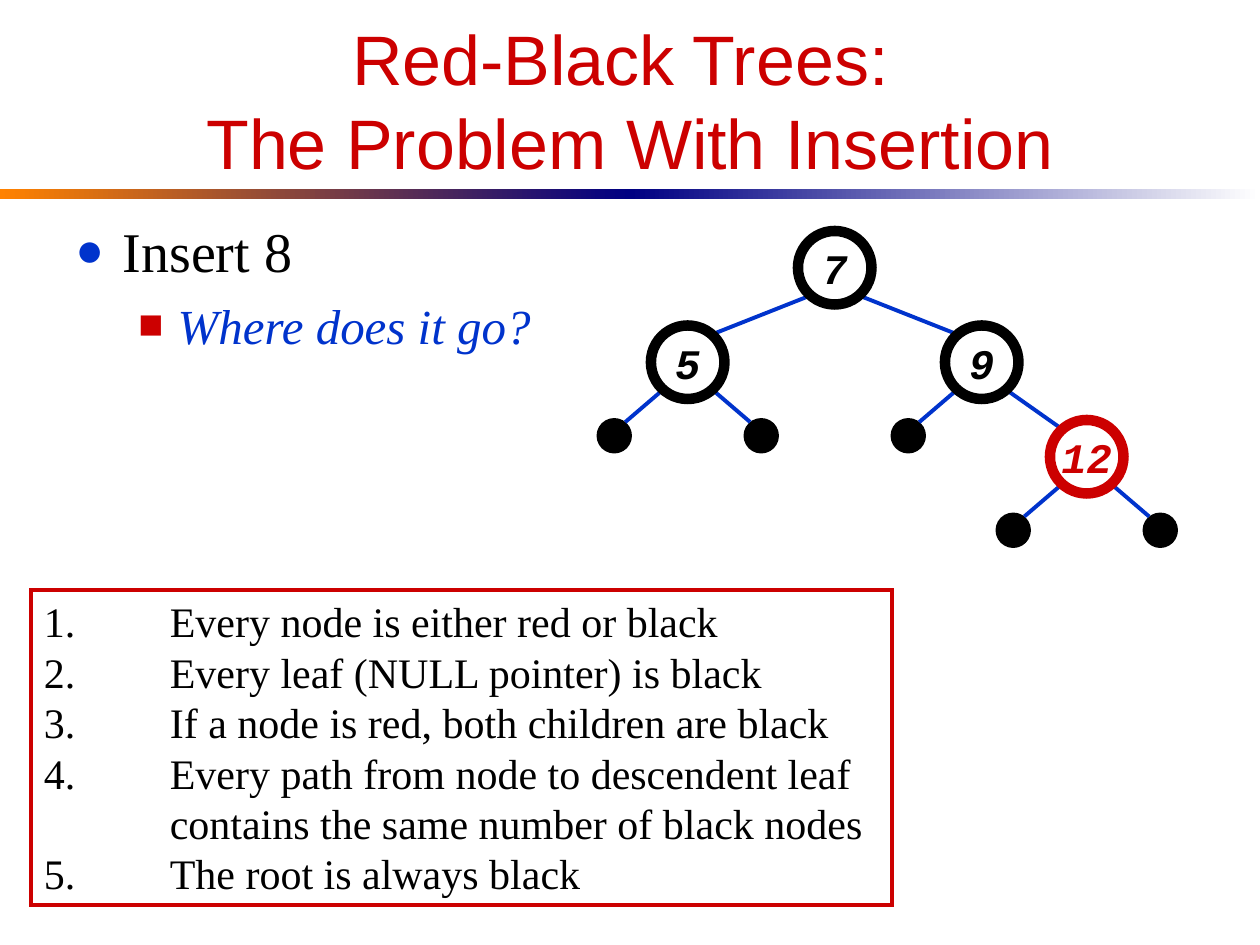
from lxml import etree
from pptx import Presentation
from pptx.dml.color import RGBColor
from pptx.enum.shapes import MSO_CONNECTOR, MSO_SHAPE
from pptx.enum.text import MSO_ANCHOR, MSO_AUTO_SIZE, PP_ALIGN
from pptx.oxml.ns import qn
from pptx.util import Inches, Pt

RECTANGLE, OVAL = MSO_SHAPE.RECTANGLE, MSO_SHAPE.OVAL
STRAIGHT = MSO_CONNECTOR.STRAIGHT
TOP, MIDDLE = MSO_ANCHOR.TOP, MSO_ANCHOR.MIDDLE
LEFT, CENTER = PP_ALIGN.LEFT, PP_ALIGN.CENTER
GROW = MSO_AUTO_SIZE.SHAPE_TO_FIT_TEXT

BLACK, WHITE, RED, BLUE = "000000", "FFFFFF", "CC0000", "0033CC"
NAVY, ORANGE = "000082", "FF8200"
SERIF, SANS, MONO = "Times New Roman", "Arial", "Courier New"

UNIT = 1 / 24
NODE_RADIUS, LEAF_RADIUS = 7, 3
NODES = {
    "7": (159, 51, BLACK),
    "5": (131, 69, BLACK),
    "9": (187, 69, BLACK),
    "12": (207, 87, RED),
}
BRANCHES = [("7", "5"), ("7", "9"), ("9", "12")]
LEAVES = [("5", -1), ("5", 1), ("9", -1), ("12", -1), ("12", 1)]
LEAF_STEP = 14

RULES = [
    "1.\tEvery node is either red or black",
    "2.\tEvery leaf (NULL pointer) is black",
    "3.\tIf a node is red, both children are black",
    "4. \tEvery path from node to descendent leaf\v\tcontains the same number of black nodes",
    "5. \tThe root is always black",
]


def color(value):
    """Turn a hex string into a colour."""
    return RGBColor.from_string(value)


def style_paragraph(para, text, font, size, ink, align=LEFT, bold=False, italic=False):
    """Write a paragraph and format its runs."""
    para.text = text
    para.alignment = align
    for span in para.runs:
        span.font.name, span.font.size = font, Pt(size)
        span.font.bold, span.font.italic = bold, italic
        span.font.color.rgb = color(ink)


def add_bullet(para, symbol, ink, margin, hanging, before):
    """Give a paragraph a coloured bullet with a hanging indent."""
    para.space_before = Pt(before)
    properties = para._p.get_or_add_pPr()
    properties.set("marL", str(Inches(margin)))
    properties.set("indent", str(-Inches(hanging)))
    bullet_color = etree.SubElement(properties, qn("a:buClr"))
    etree.SubElement(bullet_color, qn("a:srgbClr"), val=ink)
    etree.SubElement(properties, qn("a:buSzPct"), val="85000")
    etree.SubElement(properties, qn("a:buFont"), typeface=SERIF)
    etree.SubElement(properties, qn("a:buChar"), char=symbol)


def add_tab_stops(para, count):
    """Give a paragraph left tab stops one inch apart, from zero."""
    stops = etree.SubElement(para._p.get_or_add_pPr(), qn("a:tabLst"))
    for position in range(count):
        etree.SubElement(stops, qn("a:tab"), pos=str(Inches(position)), algn="l")


def add_text_box(page, left, top, width, height, anchor=TOP):
    """Add a wrapping text box and return its text frame."""
    box = page.shapes.add_textbox(*map(Inches, (left, top, width, height)))
    box.text_frame.word_wrap = True
    box.text_frame.vertical_anchor = anchor
    return box.text_frame


def add_outlined(page, kind, left, top, width, height, fill, line, weight):
    """Add a flat preset shape with a sharp outline and an optional fill."""
    shape = page.shapes.add_shape(kind, *map(Inches, (left, top, width, height)))
    shape.shadow.inherit = False
    if fill:
        shape.fill.solid()
        shape.fill.fore_color.rgb = color(fill)
    else:
        shape.fill.background()
    shape.line.color.rgb = color(line)
    shape.line.width = Pt(weight)
    outline = shape._element.spPr.find(qn("a:ln"))
    etree.SubElement(outline, qn("a:miter"), lim="800000")
    return shape


def add_band(page, left, start, end):
    """Add half of the gradient band under the title."""
    band = page.shapes.add_shape(RECTANGLE, *map(Inches, (left, 1.5, 5, 0.08)))
    band.shadow.inherit = False
    band.line.fill.background()
    band.fill.gradient()
    band.fill.gradient_angle = 0
    for stop, ink in zip(band.fill.gradient_stops, (start, end)):
        stop.color.rgb = color(ink)


def add_circle(page, x, y, radius, fill, line, weight):
    """Add a circle centred on a point of the tree grid."""
    corner = ((x - radius) * UNIT, (y - radius) * UNIT)
    size = 2 * radius * UNIT
    return add_outlined(page, OVAL, *corner, size, size, fill, line, weight)


def add_node(page, key):
    """Add a tree node with its key."""
    x, y, ink = NODES[key]
    frame = add_circle(page, x, y, NODE_RADIUS, WHITE, ink, 6).text_frame
    frame.word_wrap = False
    frame.vertical_anchor = MIDDLE
    style_paragraph(frame.paragraphs[0], key, MONO, 24, ink, CENTER, True, True)


def add_edge(page, parent, child, child_radius):
    """Join the lower side of a parent to the upper side of its child."""
    side = 1 if child[0] > parent[0] else -1
    start_x, end_x = parent[0] + side * 0.7 * NODE_RADIUS, child[0] - side * 0.7 * child_radius
    start_y = parent[1] + 0.7 * NODE_RADIUS + 0.5
    end_y = child[1] - 0.7 * child_radius - 0.5
    ends = [Inches(value * UNIT) for value in (start_x, start_y, end_x, end_y)]
    edge = page.shapes.add_connector(STRAIGHT, *ends)
    edge.line.color.rgb = color(BLUE)
    edge.line.width = Pt(2.25)
    etree.SubElement(edge._element.spPr, qn("a:effectLst"))


def add_tree(page):
    """Draw leaves, then edges, then nodes."""
    leaves = [(key, (NODES[key][0] + side * LEAF_STEP, NODES[key][1] + LEAF_STEP))
              for key, side in LEAVES]
    for _, center in leaves:
        add_circle(page, *center, LEAF_RADIUS, BLACK, BLACK, 2.25)
    for key, center in leaves:
        add_edge(page, NODES[key], center, LEAF_RADIUS)
    for parent, child in BRANCHES:
        add_edge(page, NODES[parent], NODES[child], NODE_RADIUS)
    for key in NODES:
        add_node(page, key)


def add_rules(page):
    """Add the framed list of red-black properties."""
    box = add_outlined(page, RECTANGLE, 0.25, 4.68, 6.83, 2.5, None, RED, 2.25)
    frame = box.text_frame
    frame.word_wrap = True
    frame.auto_size = GROW
    frame.vertical_anchor = MIDDLE
    for index, rule in enumerate(RULES):
        para = frame.add_paragraph() if index else frame.paragraphs[0]
        style_paragraph(para, rule, SERIF, 24, BLACK)
        add_tab_stops(para, 8)


def main():
    """Build the slide and save it."""
    deck = Presentation()
    deck.slide_width, deck.slide_height = Inches(10), Inches(7.5)
    page = deck.slides.add_slide(deck.slide_layouts[6])

    add_band(page, 0, ORANGE, NAVY)
    add_band(page, 5, NAVY, WHITE)

    body = add_text_box(page, 0.5, 1.67, 9, 4.75)
    style_paragraph(body.paragraphs[0], "Insert 8", SERIF, 32, BLACK)
    add_bullet(body.paragraphs[0], "●", BLUE, 3 / 8, 3 / 8, 8)
    question = body.add_paragraph()
    question.level = 1
    style_paragraph(question, "Where does it go?", SERIF, 28, BLUE, italic=True)
    add_bullet(question, "■", RED, 13 / 16, 5 / 16, 6.5)

    title = add_text_box(page, 0.5, 0.25, 9, 1.08, MIDDLE)
    heading = "Red-Black Trees: \vThe Problem With Insertion"
    style_paragraph(title.paragraphs[0], heading, SANS, 40, RED, CENTER)

    add_tree(page)
    add_rules(page)
    deck.save("out.pptx")


if __name__ == "__main__":
    main()
